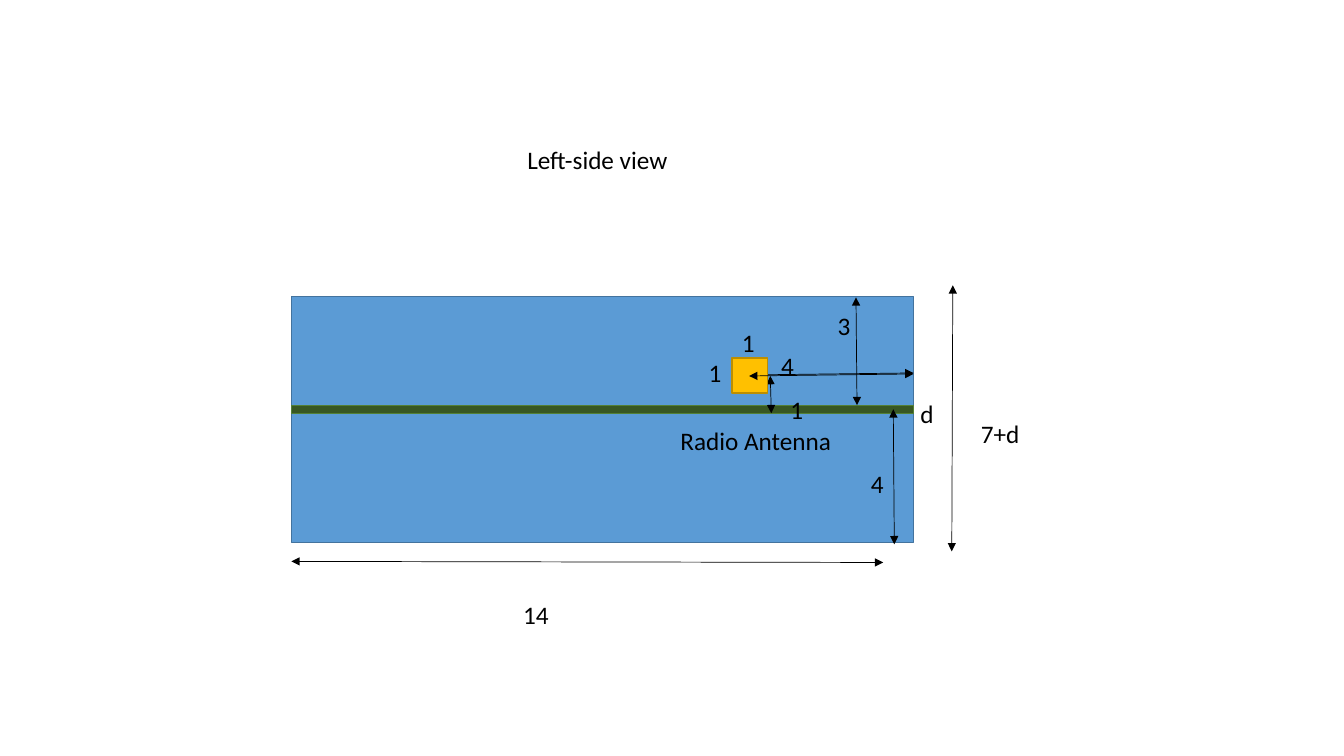
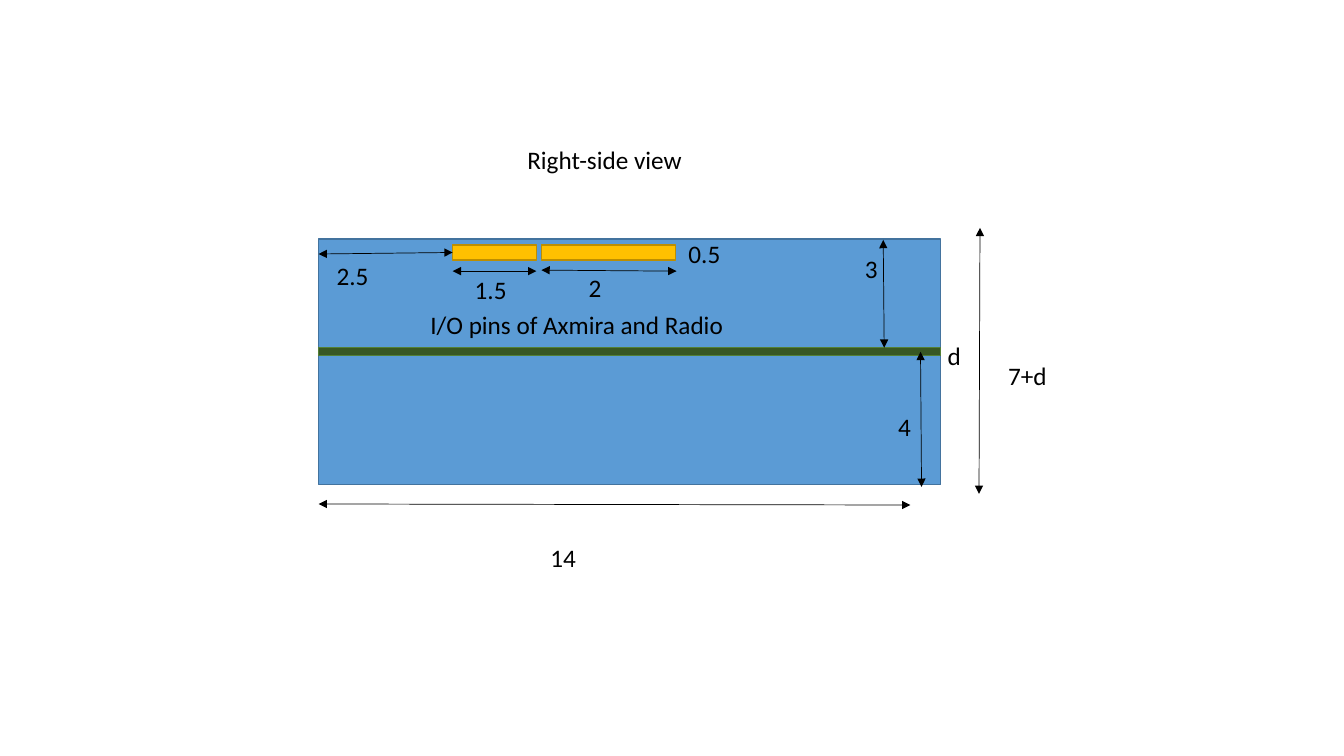
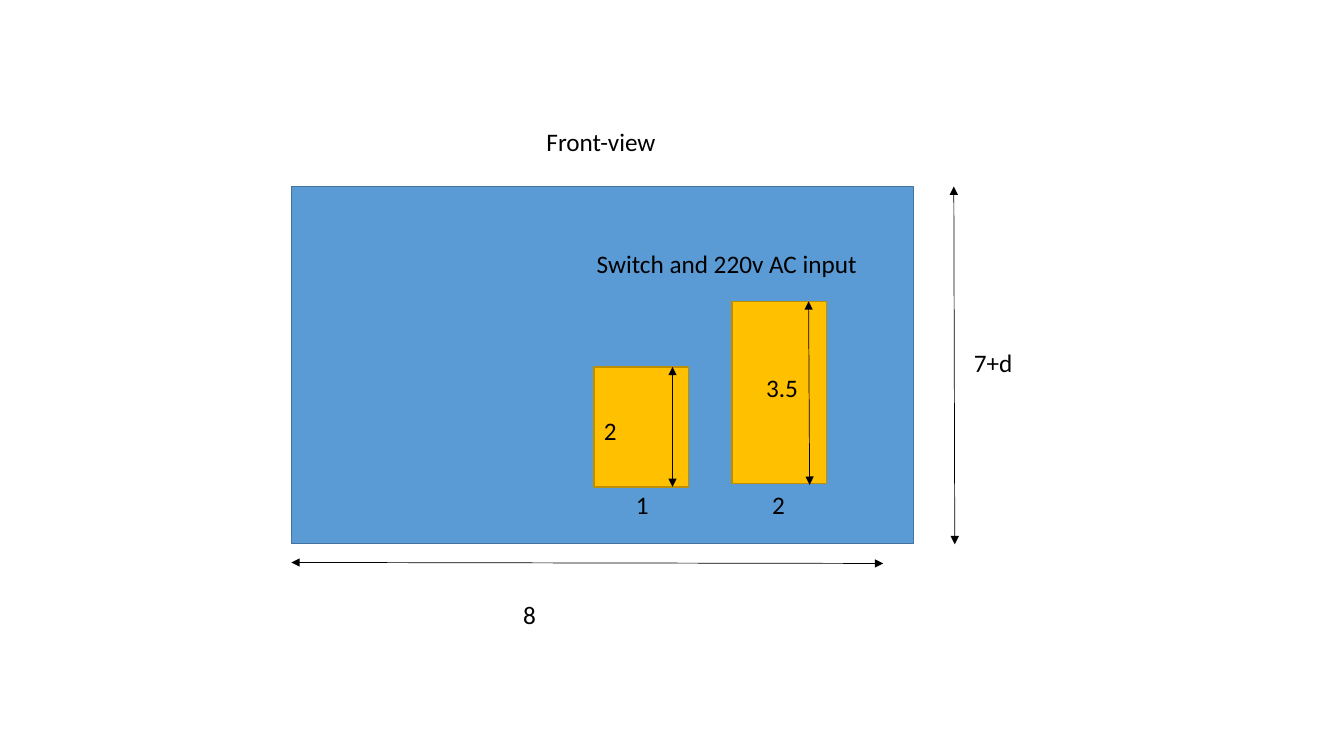
from dataclasses import dataclass

import lxml.etree
import pptx
import pptx.dml.color
import pptx.enum.shapes
import pptx.enum.text
import pptx.oxml.ns
import pptx.util

Inches = pptx.util.Inches
Pt = pptx.util.Pt

# Shared look
COLOURS = {
    "case": "5B9BD5", "case_edge": "43739E",
    "board": "385723", "board_edge": "538035",
    "part": "FFC000", "part_edge": "BD8E00",
    "ink": "000000",
}
FONT = "Calibri"
TEXT_SIZE = 18
LABEL_HEIGHT = 0.4
CASE_WIDTH = 6.17
SIDE_HEIGHT = 2.44
TITLE_ONLY = 5


@dataclass
class Block:
    left: float
    top: float
    width: float
    height: float
    colour: str = "part"


@dataclass
class Arrow:
    x1: float
    y1: float
    x2: float
    y2: float


@dataclass
class Label:
    text: str
    left: float
    top: float
    width: float = 0.33


def colour(name: str) -> pptx.dml.color.RGBColor:
    return pptx.dml.color.RGBColor.from_string(COLOURS[name])


# Drawing
def write_text(box, text: str) -> None:
    frame = box.text_frame
    frame.word_wrap = False
    frame.auto_size = pptx.enum.text.MSO_AUTO_SIZE.SHAPE_TO_FIT_TEXT
    frame.vertical_anchor = pptx.enum.text.MSO_ANCHOR.TOP
    para = frame.paragraphs[0]
    para.alignment = pptx.enum.text.PP_ALIGN.LEFT
    span = para.add_run()
    span.text = text
    span.font.name = FONT
    span.font.size = Pt(TEXT_SIZE)
    span.font.color.rgb = colour("ink")


def draw_label(page, label: Label) -> None:
    box = page.shapes.add_textbox(Inches(label.left), Inches(label.top),
                                  Inches(label.width), Inches(LABEL_HEIGHT))
    write_text(box, label.text)


def draw_block(page, block: Block):
    shape = page.shapes.add_shape(
        pptx.enum.shapes.MSO_SHAPE.RECTANGLE, Inches(block.left), Inches(block.top),
        Inches(block.width), Inches(block.height))
    shape.shadow.inherit = False
    shape.fill.solid()
    shape.fill.fore_color.rgb = colour(block.colour)
    shape.line.color.rgb = colour(block.colour + "_edge")
    shape.line.width = Pt(1)
    return shape


def draw_arrow(page, arrow: Arrow):
    """Draw a dimension line with a triangle at both ends."""
    connector = page.shapes.add_connector(
        pptx.enum.shapes.MSO_CONNECTOR.STRAIGHT, Inches(arrow.x1), Inches(arrow.y1),
        Inches(arrow.x2), Inches(arrow.y2))
    connector.line.color.rgb = colour("ink")
    connector.line.width = Pt(0.5)
    line = connector.line._get_or_add_ln()
    for end in ("a:headEnd", "a:tailEnd"):
        lxml.etree.SubElement(line, pptx.oxml.ns.qn(end), type="triangle")
    lxml.etree.SubElement(connector._element.spPr, pptx.oxml.ns.qn("a:effectLst"))
    return connector


DRAWERS = {Block: draw_block, Arrow: draw_arrow, Label: draw_label}


def draw_all(page, parts: list) -> None:
    for part in parts:
        DRAWERS[type(part)](page, part)


def add_page(deck, title: Label):
    page = deck.slides.add_slide(deck.slide_layouts[TITLE_ONLY])
    box = page.shapes.title
    box.left, box.top = Inches(title.left), Inches(title.top)
    box.width, box.height = Inches(title.width), Inches(LABEL_HEIGHT)
    write_text(box, title.text)
    return page


def draw_case(page, left: float, top: float, height: float, length: Label) -> None:
    """Draw the case with its length below."""
    base = top + height
    draw_all(page, [
        Block(left, top, CASE_WIDTH, height, "case"),
        Arrow(left, base + 0.19, left + 5.87, base + 0.2),
        length,
    ])


def draw_side(page, left: float, top: float) -> None:
    """Draw the case from the side, with the board and shared dimensions."""
    draw_case(page, left, top, SIDE_HEIGHT, Label("14", left + 2.2, top + 2.96, 0.46))
    draw_all(page, [
        Arrow(left + 6.56, top - 0.11, left + 6.55, top + 2.53),
        Label("7+d", left + 6.74, top + 1.16, 0.59),
        Block(left, top + 1.08, CASE_WIDTH, 0.08, "board"),
        Arrow(left + 5.97, top + 1.12, left + 5.98, top + 2.46),
        Label("4", left + 5.65, top + 1.66),
        Arrow(left + 5.6, top + 0.01, left + 5.61, top + 1.08),
        Label("3", left + 5.32, top + 0.09),
        Label("d", left + 6.14, top + 0.96, 0.34),
    ])


# Slides
def add_left_view(deck) -> None:
    page = add_page(deck, Label("Left-side view", 5.13, 1.38, 1.68))
    draw_side(page, 2.89, 2.94)
    draw_all(page, [
        Label("4", 7.65, 3.43),
        Arrow(7.43, 3.72, 9.06, 3.7),
        Arrow(7.64, 3.73, 7.65, 4.1),
        Label("1", 6.93, 3.5),
        Block(7.26, 3.55, 0.35, 0.35),
        Arrow(7.43, 3.73, 9.06, 3.71),
        Label("1", 7.74, 3.86),
        Label("1", 7.26, 3.2),
        Label("Radio Antenna", 6.65, 4.17, 1.7),
    ])


def add_right_view(deck) -> None:
    page = add_page(deck, Label("Right-side view", 5.13, 1.38, 1.76))
    draw_side(page, 3.16, 2.37)
    short_pins = draw_block(page, Block(4.49, 2.43, 0.83, 0.15))
    margin = draw_arrow(page, Arrow(4.49, 2.52, 3.16, 2.52))
    margin.begin_connect(short_pins, 1)
    draw_all(page, [
        Arrow(5.32, 2.69, 4.49, 2.69),
        Label("1.5", 4.61, 2.67, 0.52),
        Block(5.37, 2.43, 1.33, 0.15),
        Label("2", 5.74, 2.65),
        Arrow(6.71, 2.69, 5.37, 2.68),
        Label("2.5", 3.24, 2.53, 0.52),
        Label("0.5", 6.73, 2.32, 0.52),
        Label("I/O pins of Axmira and Radio", 4.17, 3.02, 3.18),
    ])


def add_front_view(deck) -> None:
    page = add_page(deck, Label("Front-view", 5.32, 1.2, 1.3))
    draw_case(page, 2.89, 1.85, 3.54, Label("8", 5.09, 5.9))
    draw_all(page, [
        Arrow(9.46, 1.85, 9.47, 5.4),
        Label("7+d", 9.56, 3.4, 0.59),
        # Power input
        Block(7.26, 2.99, 0.94, 1.81),
        Arrow(8.03, 4.81, 8.02, 2.99),
        Label("2", 7.56, 4.81),
        Label("3.5", 7.5, 3.64, 0.52),
        # Switch
        Block(5.89, 3.64, 0.94, 1.19),
        Arrow(6.67, 4.83, 6.67, 3.64),
        Label("1", 6.21, 4.81),
        Label("2", 5.89, 4.07),
        Label("Switch and 220v AC input", 5.82, 2.41, 2.81),
    ])


def main() -> None:
    deck = pptx.Presentation()
    deck.slide_width, deck.slide_height = Inches(13.33), Inches(7.5)
    add_left_view(deck)
    add_right_view(deck)
    add_front_view(deck)
    deck.save("out.pptx")


if __name__ == "__main__":
    main()
